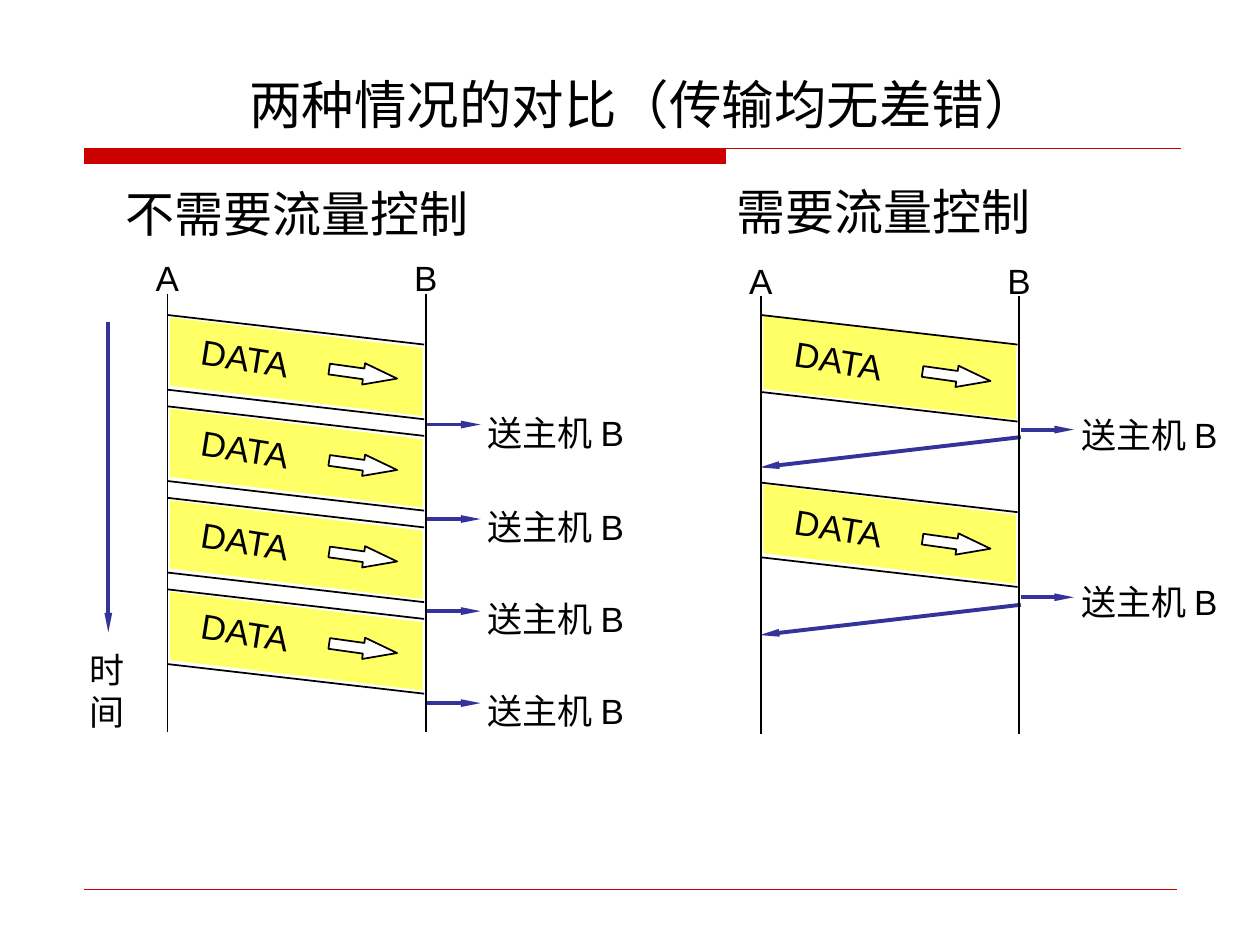
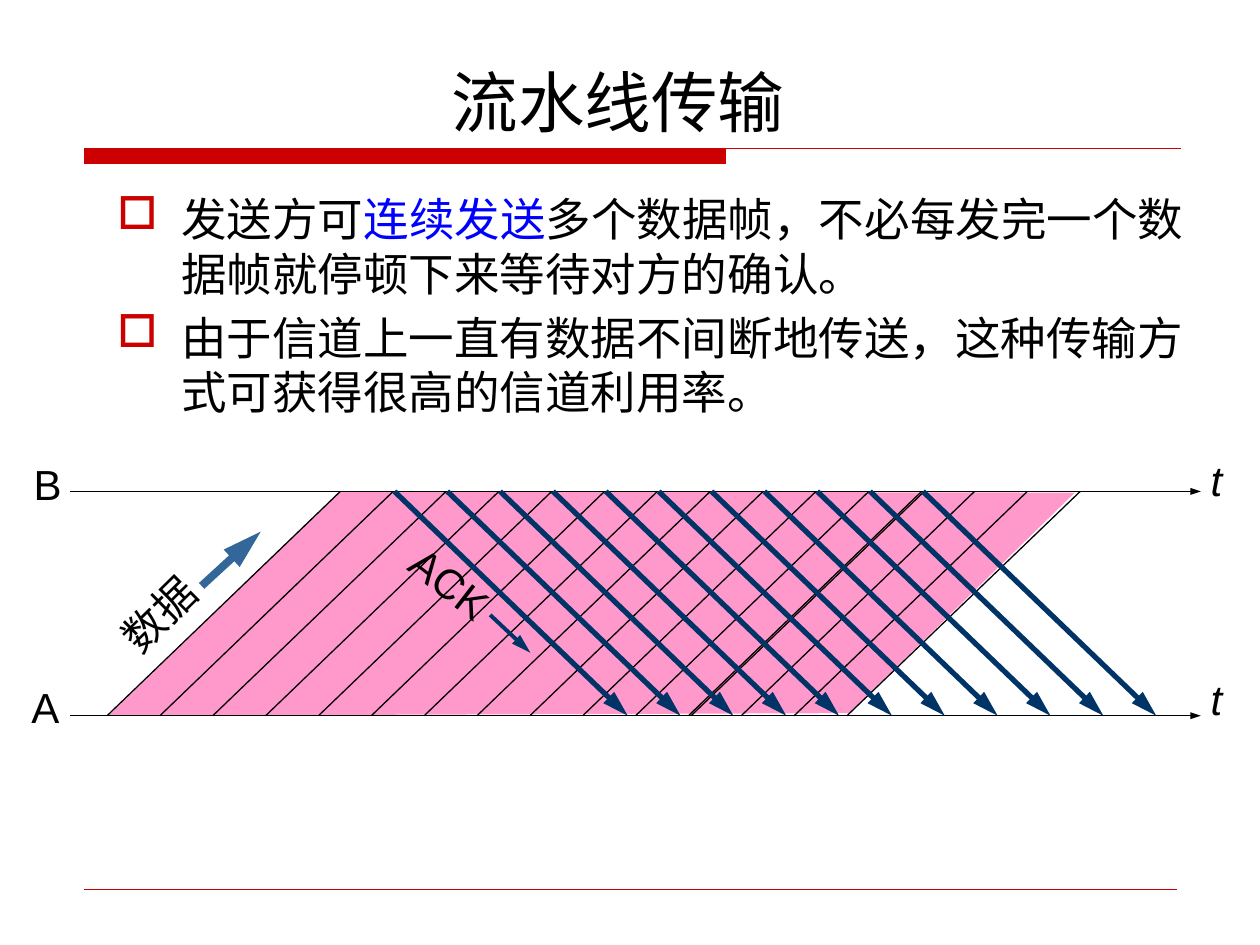
import pptx
import pptx.dml.color
import pptx.enum.shapes
import pptx.enum.text
import pptx.util
from lxml import etree
from pptx.oxml.ns import qn

Pt = pptx.util.Pt
Align = pptx.enum.text.PP_ALIGN
Anchor = pptx.enum.text.MSO_ANCHOR

# Content: titles as (text, size, box)
COMPARISON_TITLE = ("两种情况的对比（传输均无差错）", 30, (83.5, 33.1, 568, 47.5))
PIPELINE_TITLE = ("流水线传输 ", 38, (42.5, 9.4, 630, 74.9))

# Each frame: top, height, height of its fill, fill inset, delivery time
PANELS = [
    {"heading": "不需要流量控制", "heading_box": (64.8, 101.5, 210.2, 41),
     "left": 95.8, "top": 167.8, "lift": 0, "label_rise": 11.2, "acknowledged": False,
     "frames": [(180, 42.7, 39, 1.4, 242.6), (232.2, 42.7, 39, 1.4, 296.6),
                (284.5, 42.7, 39, 1.4, 349.2), (336.8, 42.7, 39, 1.4, 401.8)]},
    {"heading": "需要流量控制", "heading_box": (414, 100.1, 182.2, 41),
     "left": 434.9, "top": 169.2, "lift": 1.4, "label_rise": 13, "acknowledged": True,
     "frames": [(180, 44, 42.3, 0, 245.5), (275.8, 42.7, 39.4, 1, 341.3)]},
]
HOST_LABEL = "送主机 B"
TIME_LABEL = "时\n间"

BULLETS = [
    [("发送方可", "000000"), ("连续发送", "0000FF"),
     ("多个数据帧，不必每发完一个数据帧就停顿下来等待对方的确认。", "000000")],
    [("由于信道上一直有数据不间断地传送，这种传输方式可获得很高的信道利用率。", "000000")],
]
PIPELINE_LABELS = [  # text, box, rotation, italic
    ("B", (12.2, 258.5, 30.2, 36), 0, False),
    ("A", (10.8, 385.9, 30.2, 36), 0, False),
    ("t", (684.7, 256.3, 20.9, 36), 0, True),
    ("t", (684.7, 381.6, 20.9, 36), 0, True),
    ("数据", (59.8, 332.6, 62.6, 36), 315.3, False),
    ("ACK", (225.4, 315.4, 64.1, 36), 37.8, False),
]

# Shared look
BLACK, RED, WHITE = "000000", "CC0000", "FFFFFF"
YELLOW, INDIGO = "FFFF66", "333399"
PINK, NAVY, STEEL = "FF99CC", "003366", "336699"
SLIM_HEAD, LONG_HEAD, SMALL_HEAD = ("sm", "lg"), ("med", "lg"), ("sm", "med")

# Time diagram geometry
CHANNEL_WIDTH, FRAME_DROP = 146.6, 16.9
AXIS_LENGTH = 250.5

# Pipeline geometry
TOP_AXIS, BOTTOM_AXIS = 280.8, 409
SLANT, FRAME_STEP = 133.3, 30.2
FRAME_COUNT, ACK_COUNT = 15, 11
FIRST_FRAME, FIRST_ACK = 61.2, 225.4


def color(value):
    return pptx.dml.color.RGBColor.from_string(value)


def points(values):
    return [Pt(value) for value in values]


def add_line(slide, start, end, line_color=BLACK, width=1, head=None):
    """Straight line; head gives the width and length of an arrowhead at its end."""
    line = slide.shapes.add_connector(
        pptx.enum.shapes.MSO_CONNECTOR.STRAIGHT, *points(start + end))
    line.line.color.rgb = color(line_color)
    line.line.width = Pt(width)
    properties = line.line._get_or_add_ln()
    if head:
        etree.SubElement(properties, qn("a:tailEnd"), type="triangle", w=head[0], len=head[1])
    etree.SubElement(properties.getparent(), qn("a:effectLst"))


def add_polygon(slide, corners, fill):
    corners = [tuple(points(corner)) for corner in corners]
    builder = slide.shapes.build_freeform(*corners[0], scale=1.0)
    builder.add_line_segments(corners[1:], close=True)
    shape = builder.convert_to_shape()
    shape.shadow.inherit = False
    shape.fill.solid()
    shape.fill.fore_color.rgb = color(fill)
    shape.line.fill.background()


def style(font, size, font_color=BLACK, name="Arial"):
    font.size = Pt(size)
    font.name = name
    font.color.rgb = color(font_color)


def add_text(slide, text, box, size, name="Arial", rotation=0, wrap=False, italic=None):
    shape = slide.shapes.add_textbox(*points(box))
    shape.rotation = rotation
    frame = shape.text_frame
    frame.word_wrap = wrap
    frame.text = text
    for paragraph in frame.paragraphs:
        for run in paragraph.runs:
            style(run.font, size, name=name)
            run.font.italic = italic
    return shape


def add_base_slide(presentation, title):
    slide = presentation.slides.add_slide(presentation.slide_layouts[6])
    # Footer rule and red title band
    add_line(slide, (48.2, 508.3), (672.5, 508.3), RED, 0.25)
    add_polygon(slide, [(48.2, 85), (414.7, 85), (414.7, 93.6), (48.2, 93.6)], RED)
    add_line(slide, (48.2, 85), (674.6, 85), RED, 0.75)
    text, size, box = title
    frame = add_text(slide, text, box, size, wrap=True).text_frame
    frame.vertical_anchor = Anchor.BOTTOM
    frame.paragraphs[0].alignment = Align.CENTER
    return slide


def add_frame(slide, panel, top, height, fill_height, inset, delivery):
    left = panel["left"]
    right = left + CHANNEL_WIDTH
    # Sloping frame with its two edges
    fill_left, fill_right, fill_top = left + 1.4, right - 0.8, top + inset
    fill_drop = FRAME_DROP + 0.5
    add_polygon(slide, [(fill_left, fill_top), (fill_right, fill_top + fill_drop),
                        (fill_right, fill_top + fill_drop + fill_height),
                        (fill_left, fill_top + fill_height)], YELLOW)
    for edge in (top, top + height):
        add_line(slide, (left, edge), (right, edge + FRAME_DROP))

    # Direction arrow and name of the frame
    arrow = slide.shapes.add_shape(
        pptx.enum.shapes.MSO_SHAPE.RIGHT_ARROW,
        *points((left + 92.1, top + 27.5 + panel["lift"], 39.2, 12.3)))
    arrow.adjustments[1] = 1.57
    arrow.rotation = 8
    arrow.shadow.inherit = False
    arrow.fill.solid()
    arrow.fill.fore_color.rgb = color(WHITE)
    arrow.line.color.rgb = color(BLACK)
    arrow.line.width = Pt(1)
    add_text(slide, "DATA", (left + 12, top + 9 + panel["lift"], 67.7, 31), 20, rotation=9)

    # Delivery to the host, and the reply to A
    add_line(slide, (left + 148.4, delivery), (left + 178.8, delivery), INDIGO, 2.25, SLIM_HEAD)
    add_text(slide, HOST_LABEL, (left + 175.8, delivery - panel["label_rise"], 92.9, 31),
             20, wrap=True)
    if panel["acknowledged"]:
        add_line(slide, (left + 148.4, delivery + 4.3), (left - 0.7, delivery + 21.6),
                 INDIGO, 2.25, SLIM_HEAD)


def build_comparison(presentation):
    slide = add_base_slide(presentation, COMPARISON_TITLE)
    for panel in PANELS:
        add_text(slide, panel["heading"], panel["heading_box"], 28, name="Lato")
        for frame in panel["frames"]:
            add_frame(slide, panel, *frame)
        # Vertical axes of the two hosts
        top = panel["top"]
        for host, x in (("A", panel["left"]), ("B", panel["left"] + CHANNEL_WIDTH + 1)):
            add_line(slide, (x, top), (x, top + AXIS_LENGTH))
            add_text(slide, host, (x - 13.9, top - 24.5, 27.4, 31), 20)
    # Time arrow
    add_line(slide, (61.9, 184.3), (61.9, 361.4), INDIGO, 2.25, SLIM_HEAD)
    add_text(slide, TIME_LABEL, (43.9, 367.2, 34.6, 54.7), 20)


def add_bullets(slide):
    shape = slide.shapes.add_textbox(*points((59.8, 105.8, 634.3, 164.2)))
    frame = shape.text_frame
    frame.word_wrap = True
    for index, parts in enumerate(BULLETS):
        paragraph = frame.add_paragraph() if index else frame.paragraphs[0]
        properties = paragraph._p.get_or_add_pPr()
        properties.set("marL", str(Pt(36.7)))
        properties.set("indent", str(-Pt(36.7)))
        bullet_color = etree.SubElement(properties, qn("a:buClr"))
        etree.SubElement(bullet_color, qn("a:srgbClr"), val=RED)
        etree.SubElement(properties, qn("a:buChar"), char="□")
        if index:
            paragraph.space_before = Pt(5.2)
        for text, text_color in parts:
            run = paragraph.add_run()
            run.text = text
            style(run.font, 26, text_color)


def build_pipeline(presentation):
    slide = add_base_slide(presentation, PIPELINE_TITLE)
    add_bullets(slide)
    # Data band between the two time axes
    add_polygon(slide, [(62, BOTTOM_AXIS), (194.4, TOP_AXIS), (614.2, 281.5), (485.3, 407.5)],
                PINK)
    for axis in (TOP_AXIS, BOTTOM_AXIS):
        add_line(slide, (40.3, axis), (686.2, axis), BLACK, 0.75, SMALL_HEAD)

    # Frame borders, with one doubled near the right
    borders = [FIRST_FRAME + index * FRAME_STEP for index in range(FRAME_COUNT)]
    for x in borders + [394.9]:
        add_line(slide, (x, BOTTOM_AXIS), (x + SLANT, TOP_AXIS), BLACK, 0.75)

    # Acknowledgements
    for index in range(ACK_COUNT):
        x = FIRST_ACK + index * FRAME_STEP
        add_line(slide, (x, TOP_AXIS), (x + SLANT, BOTTOM_AXIS), NAVY, 3, LONG_HEAD)

    # Labels and direction arrows
    add_line(slide, (115.2, 334.8), (149, 303.8), STEEL, 4.5, LONG_HEAD)
    add_line(slide, (280.1, 351.4), (303.1, 373), NAVY, 2.25, LONG_HEAD)
    for text, box, rotation, italic in PIPELINE_LABELS:
        add_text(slide, text, box, 24, rotation=rotation, italic=italic)


def main():
    presentation = pptx.Presentation()
    presentation.slide_width, presentation.slide_height = Pt(720), Pt(540)
    build_comparison(presentation)
    build_pipeline(presentation)
    presentation.save("out.pptx")


if __name__ == "__main__":
    main()
